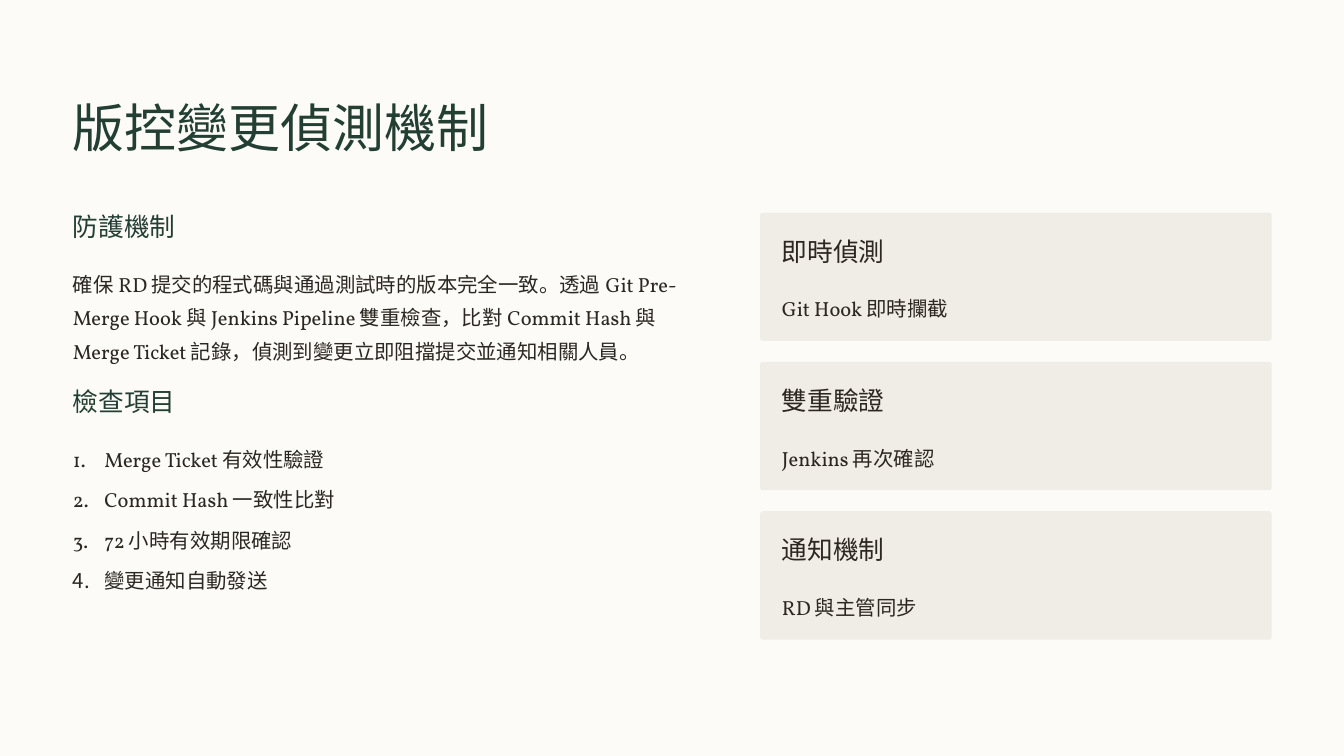
from dataclasses import dataclass

from lxml.etree import SubElement
from pptx import Presentation
from pptx.dml.color import RGBColor
from pptx.enum.shapes import MSO_SHAPE as Shape
from pptx.enum.text import MSO_ANCHOR as Anchor, MSO_AUTO_SIZE as AutoSize, PP_ALIGN as Align
from pptx.oxml.ns import qn
from pptx.util import Pt

TITLE = "版控變更偵測機制"
SECTIONS = [
    ("防護機制", [
        "確保 RD 提交的程式碼與通過測試時的版本完全一致。透過 Git Pre-Merge Hook 與 "
        "Jenkins Pipeline 雙重檢查，比對 Commit Hash 與 Merge Ticket 記錄，"
        "偵測到變更立即阻擋提交並通知相關人員。",
    ], 85.5, False),
    ("檢查項目", [
        "Merge Ticket 有效性驗證",
        "Commit Hash 一致性比對",
        "72 小時有效期限確認",
        "變更通知自動發送",
    ], 133, True),
]
CARDS = [
    ("即時偵測", "Git Hook 即時攔截"),
    ("雙重驗證", "Jenkins 再次確認"),
    ("通知機制", "RD 與主管同步"),
]


@dataclass(frozen=True)
class TextStyle:
    font: str
    size: float
    line: float
    color: RGBColor


@dataclass(frozen=True)
class Theme:
    paper = RGBColor.from_string("FCFBF8")
    card = RGBColor.from_string("F0EDE6")
    green = RGBColor.from_string("233E32")
    ink = RGBColor.from_string("2C2821")
    title = TextStyle("Lato", 44.5, 55.5, green)
    heading = TextStyle("Lato", 22, 27.5, green)
    card_heading = TextStyle("Lato", 22, 27.5, ink)
    body = TextStyle("Vollkorn", 17.5, 28.5, ink)


LEFT, COLUMN_WIDTH, TITLE_TOP = 62.5, 545, 80
SECTION_TOP, GAP = 180, 18.3
ITEM_GAP, INDENT = 6.3, 27
CARD_LEFT, CARD_TOP, CARD_WIDTH, CARD_HEIGHT = 651.6, 182.2, 438.4, 110
CARD_PITCH, CARD_PADDING = 128, 18


def place(shape, left, top, width, height):
    shape.left, shape.top, shape.width, shape.height = map(Pt, (left, top, width, height))


def write(frame, lines, gap=0, numbered=False, inset=0, wrap=True):
    frame.auto_size = AutoSize.NONE
    frame.word_wrap = wrap
    frame.vertical_anchor = Anchor.TOP
    frame.margin_left = frame.margin_right = Pt(inset)
    frame.margin_top = frame.margin_bottom = Pt(inset)
    for index, (text, style) in enumerate(lines):
        para = frame.add_paragraph() if index else frame.paragraphs[0]
        para.text = text
        para.alignment = Align.LEFT
        para.line_spacing = Pt(style.line)
        para.space_before = Pt(gap if index else 0)
        if numbered:
            props = para._p.get_or_add_pPr()
            props.set("marL", str(Pt(INDENT)))
            props.set("indent", str(-Pt(INDENT)))
            SubElement(props, qn("a:buAutoNum"), type="arabicPeriod")
        font = para.font
        font.name, font.size = style.font, Pt(style.size)
        font.color.rgb = style.color


def add_text(page, top, height, lines, **options):
    box = page.shapes.add_textbox(0, 0, 0, 0)
    place(box, LEFT, top, COLUMN_WIDTH, height)
    write(box.text_frame, lines, **options)


def add_sections(page, theme):
    top = SECTION_TOP
    for heading, lines, height, numbered in SECTIONS:
        add_text(page, top, theme.heading.line, [(heading, theme.heading)])
        top += theme.heading.line + GAP
        add_text(page, top, height, [(line, theme.body) for line in lines],
                 gap=ITEM_GAP, numbered=numbered)
        top += height + GAP


def add_cards(page, theme):
    for index, (heading, detail) in enumerate(CARDS):
        card = page.shapes.add_shape(Shape.ROUNDED_RECTANGLE, 0, 0, 0, 0)
        place(card, CARD_LEFT, CARD_TOP + index * CARD_PITCH, CARD_WIDTH, CARD_HEIGHT)
        card.adjustments[0] = 0.02
        card.shadow.inherit = False
        card.fill.solid()
        card.fill.fore_color.rgb = theme.card
        card.line.fill.background()
        write(card.text_frame, [(heading, theme.card_heading), (detail, theme.body)],
              gap=GAP, inset=CARD_PADDING)


def main():
    theme = Theme()
    deck = Presentation()
    deck.slide_width, deck.slide_height = Pt(1152), Pt(648)
    page = deck.slides.add_slide(deck.slide_layouts[5])
    page.background.fill.solid()
    page.background.fill.fore_color.rgb = theme.paper
    title = page.shapes.title
    place(title, LEFT, TITLE_TOP, 446, theme.title.line)
    write(title.text_frame, [(TITLE, theme.title)], wrap=False)
    add_sections(page, theme)
    add_cards(page, theme)
    deck.save("out.pptx")


if __name__ == "__main__":
    main()
